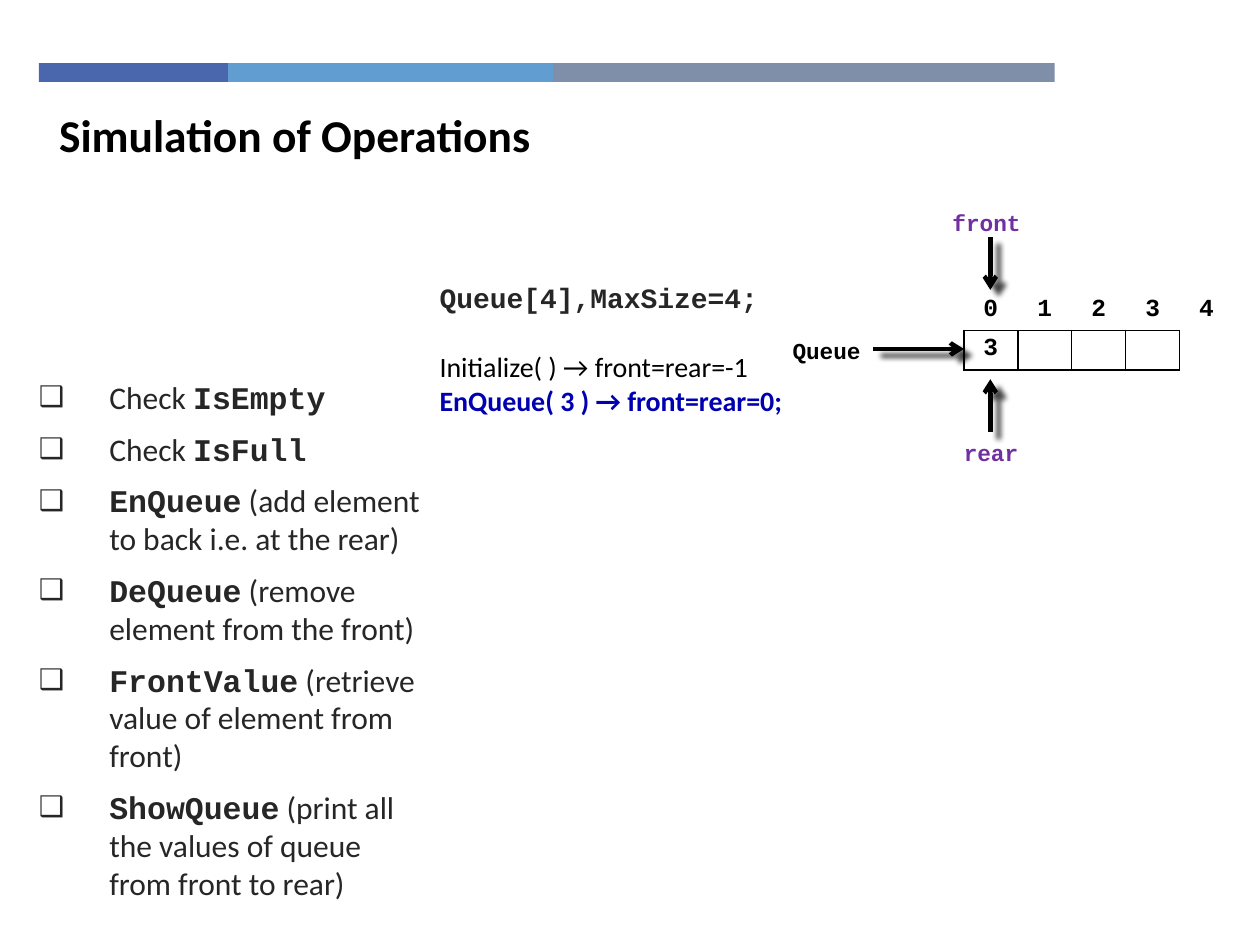
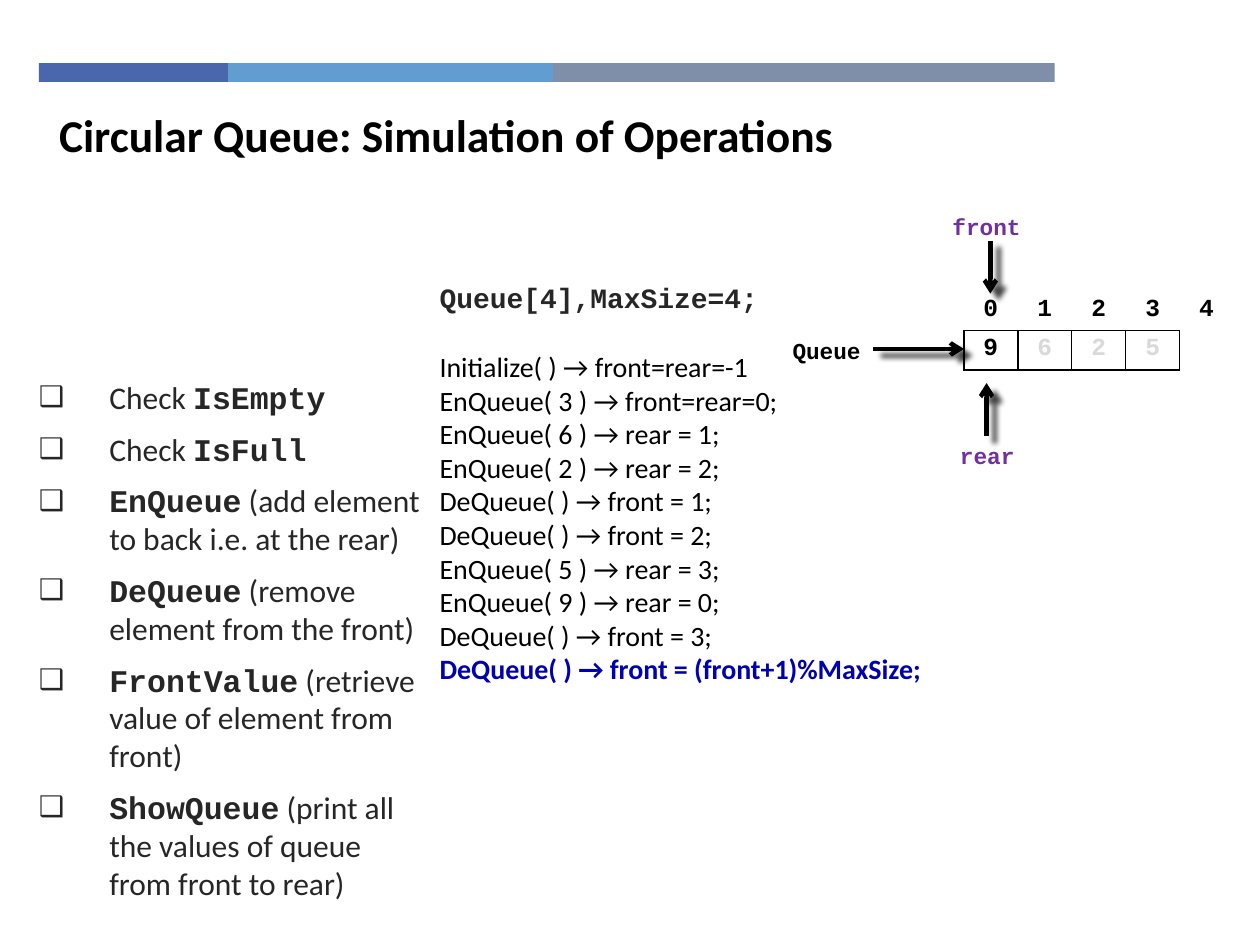
from lxml import etree
from pptx import Presentation
from pptx.dml.color import RGBColor
from pptx.enum.shapes import MSO_CONNECTOR, MSO_SHAPE
from pptx.enum.text import MSO_AUTO_SIZE as AutoSize, PP_ALIGN as Align
from pptx.oxml import parse_xml
from pptx.oxml.ns import nsdecls, qn
from pptx.util import Inches, Pt

# Shared look
SANS, MONO = "Calibri", "Courier New"
BLACK, BODY, HIGHLIGHT, POINTER, REMOVED = "000000", "262626", "0000B0", "7030A0", "D9D9D9"
BANDS = [(1.5, "4A66AC"), (2.58, "629DD1"), (3.98, "7F8FA9")]
CAPACITY = 4

OPERATIONS = [
    [("Check ", SANS), ("IsEmpty", MONO)],
    [("Check ", SANS), ("IsFull", MONO)],
    [("EnQueue", MONO), (" (add element to back i.e. at the rear)", SANS)],
    [("DeQueue", MONO), (" (remove element from the front)", SANS)],
    [("FrontValue", MONO), (" (retrieve value of element from front)", SANS)],
    [("ShowQueue", MONO), (" (print all the values of queue from front to rear)", SANS)],
]
FIRST_STEPS = ["Initialize( ) → front=rear=-1", "EnQueue( 3 ) → front=rear=0;"]
LATER_STEPS = [
    "EnQueue( 6 ) → rear = 1;",
    "EnQueue( 2 ) → rear = 2;",
    "DeQueue( ) → front = 1;",
    "DeQueue( ) → front = 2;",
    "EnQueue( 5 ) → rear = 3;",
    "EnQueue( 9 ) → rear = 0;",
    "DeQueue( ) → front = 3;",
    "DeQueue( ) → front = (front+1)%MaxSize;",
]


def color(hex_value):
    return RGBColor.from_string(hex_value)


# Text
def add_run(paragraph, text, size, font=SANS, ink=BLACK, bold=False):
    run = paragraph.add_run()
    run.text = text
    run.font.size, run.font.name, run.font.bold = Pt(size), font, bold
    run.font.color.rgb = color(ink)


def add_text_box(slide, left, top, width, height):
    shape = slide.shapes.add_textbox(Inches(left), Inches(top), Inches(width), Inches(height))
    shape.text_frame.word_wrap = True
    return shape.text_frame


def add_title(slide, text):
    frame = add_text_box(slide, 0.37, 0.8, 7.75, 1.01)
    add_run(frame.paragraphs[0], text, 26, bold=True)


def add_label(slide, text, left, top, width, ink):
    frame = add_text_box(slide, left, top, width, 0.32)
    frame.word_wrap = False
    frame.auto_size = AutoSize.SHAPE_TO_FIT_TEXT
    frame.paragraphs[0].alignment = Align.CENTER
    add_run(frame.paragraphs[0], text, 13, MONO, ink, bold=True)


def add_operations(slide):
    frame = add_text_box(slide, 0.21, 2.95, 3.23, 4.5)
    for index, parts in enumerate(OPERATIONS):
        paragraph = frame.add_paragraph() if index else frame.paragraphs[0]
        paragraph.space_before = paragraph.space_after = Pt(4)
        properties = paragraph._p.get_or_add_pPr()
        properties.set("marL", str(Inches(0.56)))
        properties.set("indent", str(-Inches(0.56)))
        etree.SubElement(properties, qn("a:buSzPct"), val="90000")
        etree.SubElement(properties, qn("a:buFont"), typeface=SANS)
        etree.SubElement(properties, qn("a:buChar"), char="❑")
        for text, font in parts:
            add_run(paragraph, text, 18, font, BODY, bold=font == MONO)


def add_steps(slide, steps):
    """The declaration, then one line per step with the latest highlighted."""
    frame = add_text_box(slide, 3.39, 1.09, 6.35, 5.07)
    frame.margin_top = Inches(1.14)
    add_run(frame.paragraphs[0], "Queue[4],MaxSize=4;", 16, MONO, BODY, bold=True)
    paragraph = frame.add_paragraph()
    paragraph.space_before = Pt(20)
    for step in steps[:-1]:
        add_run(paragraph, step, 16)
        paragraph.add_line_break()
    add_run(paragraph, steps[-1], 16, ink=HIGHLIGHT, bold=True)


# Shapes
def add_bands(slide):
    left = 0.31
    for width, fill in BANDS:
        band = slide.shapes.add_shape(
            MSO_SHAPE.RECTANGLE, Inches(left), Inches(0.5), Inches(width), Inches(0.15))
        band.shadow.inherit = False
        band.fill.solid()
        band.fill.fore_color.rgb = color(fill)
        band.line.fill.background()
        left += width


def add_arrow(slide, start_x, start_y, end_x, end_y):
    arrow = slide.shapes.add_connector(
        MSO_CONNECTOR.STRAIGHT, Inches(start_x), Inches(start_y), Inches(end_x), Inches(end_y))
    arrow.line.width = Pt(2.5)
    arrow.line.color.rgb = color(BLACK)
    etree.SubElement(arrow.line._get_or_add_ln(), qn("a:tailEnd"), type="arrow")
    arrow._element.spPr.append(parse_xml(
        f'<a:effectLst {nsdecls("a")}><a:outerShdw blurRad="{Pt(3)}" dist="{Pt(6)}" '
        f'dir="2400000" algn="tl" rotWithShape="0"><a:srgbClr val="{BLACK}">'
        '<a:alpha val="75000"/></a:srgbClr></a:outerShdw></a:effectLst>'))


# Queue drawing
def set_borders(cell, black_sides):
    properties = cell._tc.get_or_add_tcPr()
    for index, side in enumerate("LRTB"):
        fill = (f'<a:solidFill><a:srgbClr val="{BLACK}"/></a:solidFill>'
                if side in black_sides else "<a:noFill/>")
        properties.insert(index, parse_xml(
            f'<a:ln{side} {nsdecls("a")} w="{Pt(1)}">{fill}</a:ln{side}>'))


def fill_cell(cell, text, ink, black_sides):
    cell.margin_left = cell.margin_right = Inches(0.07)
    cell.margin_top = cell.margin_bottom = Inches(0.04)
    cell.fill.background()
    set_borders(cell, black_sides)
    paragraph = cell.text_frame.paragraphs[0]
    paragraph.alignment = Align.CENTER
    if text:
        add_run(paragraph, text, 14, MONO, ink, bold=True)
    else:
        etree.SubElement(paragraph._p, qn("a:endParaRPr"), sz="1200")


def add_queue_table(slide, values):
    """Indexes above, stored values below; each value is (text, colour)."""
    columns = CAPACITY + 1
    table = slide.shapes.add_table(
        2, columns, Inches(7.65), Inches(2.31), Inches(2.14), Inches(0.6)).table
    table.first_row = table.horz_banding = False
    for row in table.rows:
        row.height = Inches(0.3)
    for index in range(columns):
        table.columns[index].width = Inches(2.14 / columns)
        stored = index < CAPACITY
        text, ink = values[index] if index < len(values) else ("", BLACK)
        fill_cell(table.cell(0, index), str(index), BLACK, "B" if stored else "")
        fill_cell(table.cell(1, index), text, ink, "LRTB" if stored else "L")


def add_queue(slide, values, front_top, rear_x, rear_top):
    add_queue_table(slide, values)
    add_label(slide, "rear", rear_x - 0.31, rear_top, 0.63, POINTER)
    add_arrow(slide, rear_x, rear_top, rear_x, rear_top - 0.42)
    add_label(slide, "front", 7.45, front_top, 0.76, POINTER)
    add_arrow(slide, 7.86, front_top + 0.27, 7.86, front_top + 0.69)
    add_label(slide, "Queue", 6.19, 2.62, 0.74, BLACK)
    add_arrow(slide, 6.93, 2.77, 7.65, 2.77)


def add_simulation(presentation, title, steps, values, front_top, rear_x, rear_top):
    slide = presentation.slides.add_slide(presentation.slide_layouts[6])
    add_bands(slide)
    add_steps(slide, steps)
    add_operations(slide)
    add_queue(slide, values, front_top, rear_x, rear_top)
    add_title(slide, title)


def main():
    presentation = Presentation()
    presentation.slide_width, presentation.slide_height = Inches(10), Inches(7.5)
    add_simulation(presentation, "Simulation of Operations", FIRST_STEPS,
                   [("3", BLACK)], front_top=1.61, rear_x=7.86, rear_top=3.43)
    add_simulation(presentation, "Circular Queue: Simulation of Operations",
                   FIRST_STEPS + LATER_STEPS,
                   [("9", BLACK)] + [(text, REMOVED) for text in "625"],
                   front_top=1.64, rear_x=7.83, rear_top=3.46)
    presentation.save("out.pptx")


if __name__ == "__main__":
    main()
